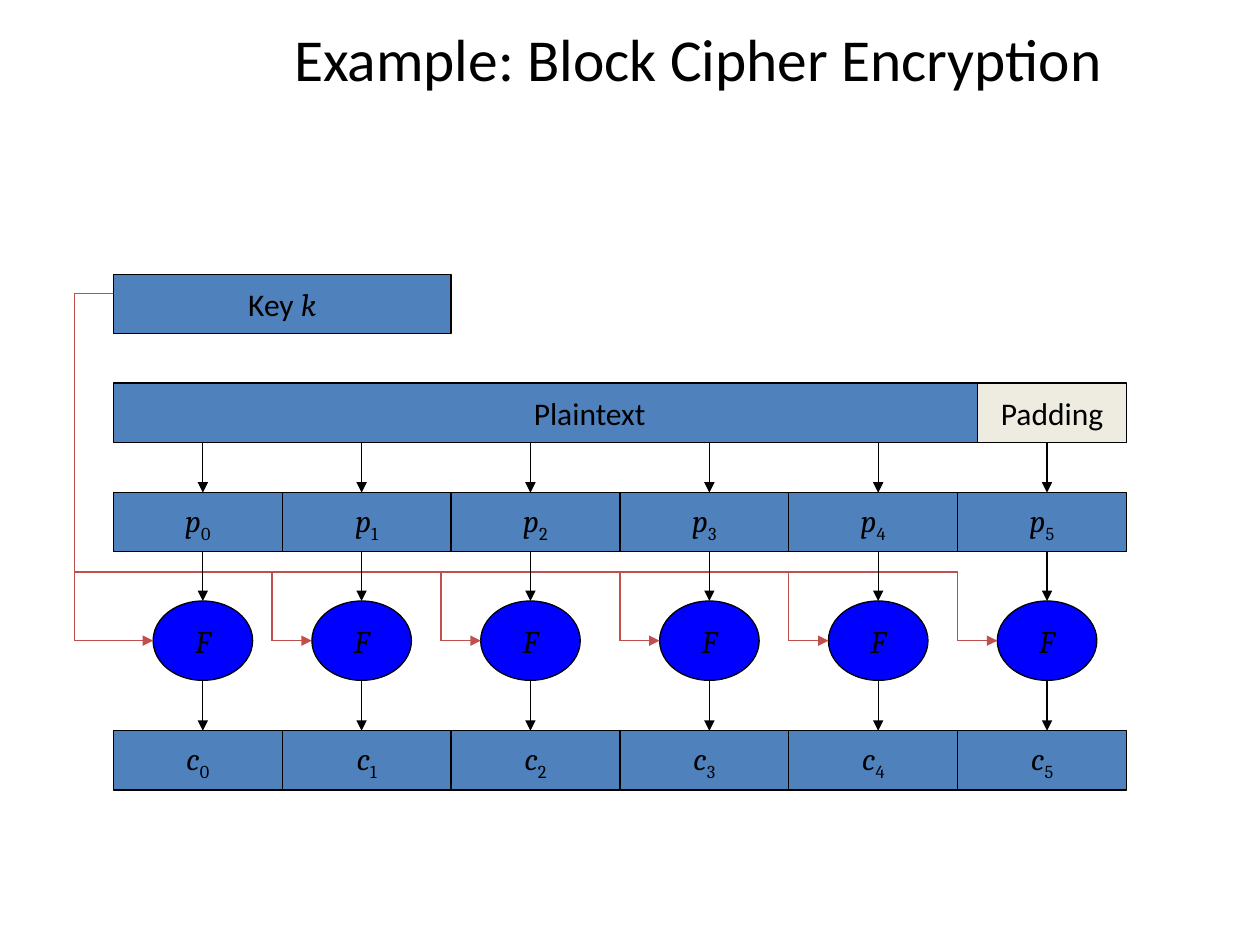
from lxml import etree
from pptx import Presentation
from pptx.dml.color import RGBColor
from pptx.enum.shapes import MSO_CONNECTOR as Connector, MSO_SHAPE as Shape
from pptx.enum.text import MSO_ANCHOR as Anchor, PP_ALIGN as Align
from pptx.oxml.ns import qn
from pptx.util import Inches, Pt

COLORS = {"ink": "000000", "block": "4F81BD", "padding": "EEECE1",
          "function": "0000FF", "key": "C0504D"}
SANS, MATH = "Calibri", "Cambria"


class CipherSlide:
    """Holds the drawing style and the slide being drawn on."""

    def __init__(self, slide, text_size=18, line_width=0.75):
        self.slide = slide
        self.text_size = text_size
        self.line_width = line_width

    def color(self, name):
        return RGBColor.from_string(COLORS[name])

    def label(self, frame, parts, size):
        """Set centred (text, font, italic, subscript) parts on one line."""
        frame.vertical_anchor = Anchor.MIDDLE
        paragraph = frame.paragraphs[0]
        paragraph.alignment = Align.CENTER
        paragraph.font.size = Pt(size)
        paragraph.font.color.rgb = self.color("ink")
        if len({font for _, font, _, _ in parts}) == 1:
            paragraph.font.name = parts[0][1]
        for text, font, italic, subscript in parts:
            run = paragraph.add_run()
            run.text = text
            if paragraph.font.name is None:
                run.font.name = font
            if italic:
                run.font.italic = True
            if subscript:
                run.font._element.set("baseline", "-25000")

    def title(self, text, left, top, width, height):
        box = self.slide.shapes.add_textbox(
            Inches(left), Inches(top), Inches(width), Inches(height))
        box.text_frame.word_wrap = True
        self.label(box.text_frame, [(text, SANS, False, False)], size=34)

    def box(self, parts, left, top, width, height, fill="block", kind=Shape.RECTANGLE):
        shape = self.slide.shapes.add_shape(
            kind, Inches(left), Inches(top), Inches(width), Inches(height))
        shape.shadow.inherit = False
        shape.fill.solid()
        shape.fill.fore_color.rgb = self.color(fill)
        shape.line.color.rgb = self.color("ink")
        shape.line.width = Pt(self.line_width)
        shape.text_frame.word_wrap = False
        self.label(shape.text_frame, parts, self.text_size)
        return shape

    def line(self, start, end, color="ink", arrow=False):
        connector = self.slide.shapes.add_connector(
            Connector.STRAIGHT, *(Inches(value) for value in (*start, *end)))
        connector.line.color.rgb = self.color(color)
        connector.line.width = Pt(self.line_width)
        if arrow:
            etree.SubElement(connector.line._get_or_add_ln(), qn("a:tailEnd"), type="triangle")
        etree.SubElement(connector._element.spPr, qn("a:effectLst"))
        return connector


def main():
    presentation = Presentation()
    presentation.slide_width, presentation.slide_height = Inches(10), Inches(7.5)
    cipher = CipherSlide(presentation.slides.add_slide(presentation.slide_layouts[6]))
    cipher.title("Example: Block Cipher Encryption", 1.08, 0, 8.92, 0.91)

    left, block_width, block_height = 0.9, 1.34, 0.47
    key_top, message_top, plain_top, cipher_top = 2.18, 3.04, 3.91, 5.8
    function_top, function_width, function_height = 4.77, 0.79, 0.63
    function_bottom = function_top + function_height
    flow_centers = [1.61, 2.87, 4.21, 5.63, 6.97, 8.31]

    cipher.box([("Key ", SANS, False, False), ("k", MATH, True, False)],
               left, key_top, 2 * block_width, block_height)
    cipher.box([("Plaintext", SANS, False, False)], left, message_top, 7.56, block_height)
    cipher.box([("Padding", SANS, False, False)], 7.76, message_top, 1.18, block_height,
               fill="padding")

    for letter, top in (("p", plain_top), ("c", cipher_top)):
        for index in range(len(flow_centers)):
            cipher.box([(letter, MATH, True, False), (str(index), MATH, False, True)],
                       left + index * block_width, top, block_width, block_height)

    # The key runs down a trunk, along a bus and into every function.
    trunk_x, key_exit_y, bus_y = 0.59, 2.33, 4.54
    function_y = function_top + function_height / 2
    branch_xs = [center - 0.71 for center in flow_centers[1:]]
    cipher.line((left, key_exit_y), (trunk_x, key_exit_y), "key")
    cipher.line((trunk_x, key_exit_y), (trunk_x, function_y), "key")
    cipher.line((trunk_x, bus_y), (branch_xs[-1], bus_y), "key")
    for branch_x in branch_xs:
        cipher.line((branch_x, function_y), (branch_x, bus_y), "key")

    for center, entry_x in zip(flow_centers, [trunk_x, *branch_xs]):
        function_left = center - function_width / 2
        function = cipher.box([("F", MATH, True, False)], function_left, function_top,
                              function_width, function_height, "function", Shape.OVAL)
        cipher.line((center, message_top + block_height), (center, plain_top), arrow=True)
        into_function = cipher.line((center, plain_top + block_height),
                                    (center, function_top), arrow=True)
        into_function.end_connect(function, 0)
        cipher.line((center, function_bottom), (center, cipher_top), arrow=True)
        cipher.line((entry_x, function_y), (function_left, function_y), "key", arrow=True)

    presentation.save("out.pptx")


if __name__ == "__main__":
    main()
